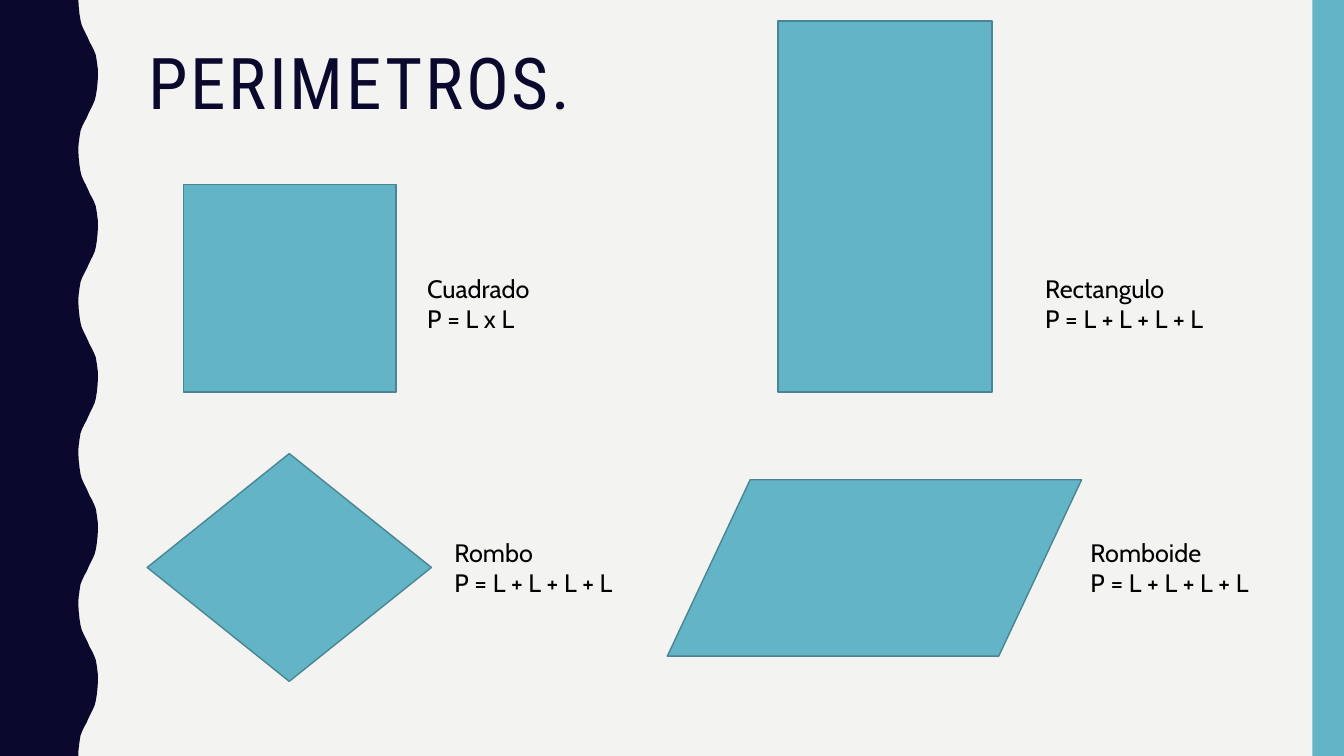
from dataclasses import dataclass

from pptx import Presentation
from pptx import util as u
from pptx.dml import color
from pptx.enum import shapes, text

COLS, ROWS = 160, 90
CELL = u.Inches(7.5) / ROWS


@dataclass(frozen=True)
class Theme:
    paper: str = "F3F3F2"
    navy: str = "0B082E"
    teal: str = "62B4C6"
    edge: str = "498592"
    ink: str = "000000"
    heading: str = "Roboto Condensed"
    body: str = "Cabin"
    title_pt: int = 51
    label_pt: int = 18


@dataclass(frozen=True)
class Box:
    x: float
    y: float
    w: float
    h: float

    def inner(self, x, y, w, h):
        return Box(self.x + x, self.y + y, w, h)

    def emu(self):
        return [round(v * CELL) for v in (self.x, self.y, self.w, self.h)]


T = Theme()


def rgb(value):
    return color.RGBColor.from_string(value)


def paint(sp, fill, line=None):
    sp.shadow.inherit = False
    sp.fill.solid()
    sp.fill.fore_color.rgb = rgb(fill)
    if line:
        sp.line.color.rgb = rgb(line)
        sp.line.width = u.Pt(1)
    else:
        sp.line.fill.background()


def add_run(p, words, font, size, ink):
    r = p.add_run()
    r.text = words
    r.font.name = font
    r.font.size = u.Pt(size)
    r.font.color.rgb = rgb(ink)
    return r


def wavy_band(s, box, waves):
    trough, crest = 0.8, 1
    swing = crest - trough
    rise = [(0, 0), (0.09, 0.02), (0.19, 0.06), (0.27, 0.11), (0.33, 0.17),
            (0.39, 0.27), (0.44, 0.37), (0.5, 0.48), (0.56, 0.58),
            (0.61, 0.69), (0.67, 0.8), (0.73, 0.89), (0.81, 0.94), (0.91, 0.99)]
    half = box.h / waves / 2
    points = [(box.x, box.y)]
    for n in range(2 * waves):
        for t, lift in rise:
            share = 1 - lift if n % 2 else lift
            points.append((box.x + box.w * (trough + swing * share),
                           box.y + half * (n + t)))
    points += [(box.x + box.w * trough, box.y + box.h), (box.x, box.y + box.h)]
    emu = [(round(x * CELL), round(y * CELL)) for x, y in points]
    fb = s.shapes.build_freeform(*emu[0])
    fb.add_line_segments(emu[1:], close=True)
    paint(fb.convert_to_shape(), T.navy)


def side_bar(s, box):
    paint(s.shapes.add_shape(shapes.MSO_SHAPE.RECTANGLE, *box.emu()), T.teal)


def heading(s, box, words):
    sp = s.shapes.title
    sp.left, sp.top, sp.width, sp.height = box.emu()
    tf = sp.text_frame
    tf.auto_size = text.MSO_AUTO_SIZE.NONE
    tf.vertical_anchor = text.MSO_ANCHOR.TOP
    p = tf.paragraphs[0]
    p.alignment = text.PP_ALIGN.LEFT
    p.line_spacing = 0.9
    r = add_run(p, words, T.heading, T.title_pt, T.navy)
    r.font._element.set("spc", "200")


def figure(s, box, kind, label, lines):
    paint(s.shapes.add_shape(kind, *box.emu()), T.teal, T.edge)
    tf = s.shapes.add_textbox(*box.inner(*label, 8.52).emu()).text_frame
    tf.word_wrap = True
    tf.auto_size = text.MSO_AUTO_SIZE.SHAPE_TO_FIT_TEXT
    for i, words in enumerate(lines):
        p = tf.add_paragraph() if i else tf.paragraphs[0]
        add_run(p, words, T.body, T.label_pt, T.ink)


def perimeter_slide(prs):
    s = prs.slides.add_slide(prs.slide_layouts[5])
    s.background.fill.solid()
    s.background.fill.fore_color.rgb = rgb(T.paper)
    wavy_band(s, Box(0, 0, 11.67, ROWS), 5)
    side_bar(s, Box(COLS - 3.75, 0, 3.75, ROWS))
    heading(s, Box(16.44, 5.04, 133.56, 19.56), "PERIMETROS.")
    kinds = shapes.MSO_SHAPE
    four_sides = "P = L + L + L + L"
    figures = [
        (Box(21.84, 21.96, 25.32, 24.72), kinds.RECTANGLE,
         (27.84, 9.96, 18.24), ("Cuadrado", "P = L x L")),
        (Box(92.64, 2.52, 25.44, 44.16), kinds.RECTANGLE,
         (30.6, 29.4, 23.88), ("Rectangulo", four_sides)),
        (Box(17.52, 54, 33.84, 27.12), kinds.DIAMOND,
         (35.4, 9.36, 26.4), ("Rombo", four_sides)),
        (Box(79.44, 57.12, 49.32, 21), kinds.FLOWCHART_DATA,
         (49.2, 6.24, 23.88), ("Romboide", four_sides)),
    ]
    for parts in figures:
        figure(s, *parts)


prs = Presentation()
prs.slide_width = round(COLS * CELL)
prs.slide_height = round(ROWS * CELL)
perimeter_slide(prs)
prs.save("out.pptx")
